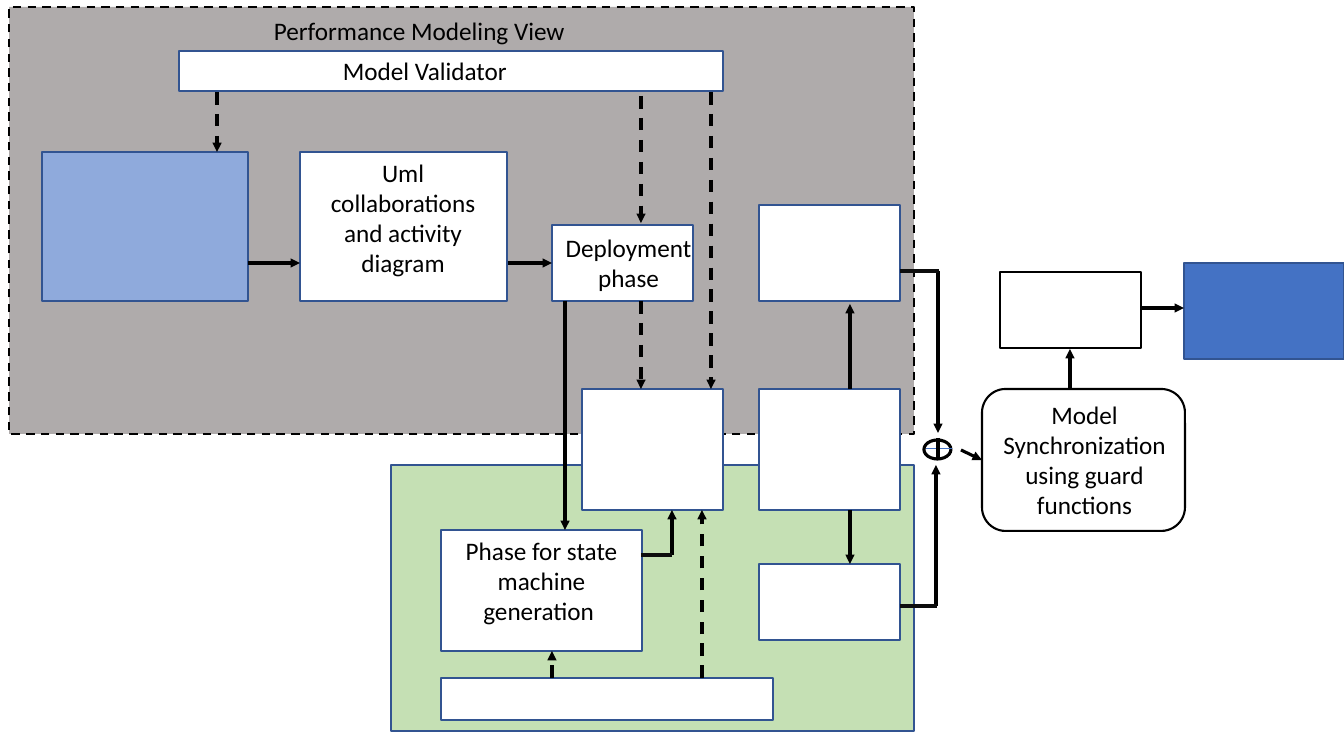
from lxml import etree
from pptx import Presentation
from pptx.dml.color import RGBColor
from pptx.enum.dml import MSO_LINE
from pptx.enum.shapes import MSO_CONNECTOR, MSO_SHAPE
from pptx.enum.text import PP_ALIGN
from pptx.oxml.ns import qn
from pptx.util import Pt

SCALE = 914400 / 100.8
RECT, ROUND, OVAL = MSO_SHAPE.RECTANGLE, MSO_SHAPE.ROUNDED_RECTANGLE, MSO_SHAPE.OVAL
STRAIGHT = MSO_CONNECTOR.STRAIGHT
DASH = MSO_LINE.DASH
LEFT, CENTER = PP_ALIGN.LEFT, PP_ALIGN.CENTER
BLACK, INK, WHITE = "000000", "0D0D0D", "FFFFFF"
GRAY, GREEN, LIGHT_BLUE, BLUE, BORDER = "AFABAB", "C5E0B4", "8FAADC", "4472C4", "325491"

PLAIN_BOXES = [
    (300, 152, 207, 149),
    (552, 225, 141, 76),
    (759, 205, 141, 96),
    (582, 389, 141, 121),
    (759, 389, 141, 121),
    (441, 530, 201, 121),
    (441, 678, 332, 42),
    (759, 564, 141, 76),
]
DASHED_ARROWS = [
    (217, 92, 217, 152),
    (641, 96, 641, 223),
    (711, 92, 711, 389),
    (641, 301, 641, 389),
    (552, 678, 552, 651),
    (702, 678, 702, 510),
]
SOLID_ARROWS = [
    (248, 263, 300, 263),
    (508, 263, 552, 263),
    (565, 301, 565, 530),
    (672, 555, 672, 510),
    (850, 389, 850, 304),
    (850, 510, 850, 564),
    (936, 606, 936, 465),
    (961, 450, 982, 460),
    (938, 271, 938, 433),
    (1070, 389, 1070, 349),
    (1141, 308, 1184, 308),
]
ELBOW_STARTS = [(641, 555, 672, 555), (900, 606, 937, 606), (900, 271, 939, 271)]
LABELS = [
    ("Performance Modeling View", 264, 10, 428, 40, LEFT),
    ("Model Validator", 333, 50, 207, 40, LEFT),
    ("Uml collaborations and activity diagram", 305, 152, 196, 132, CENTER),
    ("Deployment phase", 553, 227, 151, 72, CENTER),
    ("Model Synchronization using guard functions", 984, 394, 201, 137, CENTER),
    ("Phase for state machine generation ", 441, 530, 201, 102, CENTER),
]


def px(*values):
    """Turn pixel lengths into EMU."""
    return [round(v * SCALE) for v in values]


def rgb(color):
    """Return the colour for a hex string."""
    return RGBColor.from_string(color)


def style_line(line, color, width, dash=None):
    """Set the colour, width and dash of a line."""
    line.color.rgb = rgb(color)
    line.width = Pt(width)
    if dash is not None:
        line.dash_style = dash


def add_box(s, kind, at, fill=WHITE, color=BORDER, width=1, dash=None):
    """Add a filled, outlined shape."""
    sp = s.shapes.add_shape(kind, *px(*at))
    sp.shadow.inherit = False
    sp.fill.solid()
    sp.fill.fore_color.rgb = rgb(fill)
    style_line(sp.line, color, width, dash)


def add_line(s, ends, color=BLACK, width=2.25, dash=None, arrow=False):
    """Add a straight line, with an arrowhead at its end if asked."""
    cxn = s.shapes.add_connector(STRAIGHT, *px(*ends))
    style_line(cxn.line, color, width, dash)
    if arrow:
        etree.SubElement(cxn.line._get_or_add_ln(), qn("a:tailEnd"), type="triangle")
    etree.SubElement(cxn._element.spPr, qn("a:effectLst"))


def add_label(s, text, x, y, w, h, align):
    """Add a wrapped text box."""
    tf = s.shapes.add_textbox(*px(x, y, w, h)).text_frame
    tf.word_wrap = True
    p = tf.paragraphs[0]
    p.alignment = align
    r = p.add_run()
    r.text = text
    r.font.name = "Calibri"
    r.font.size = Pt(18)
    r.font.color.rgb = rgb(BLACK)


def add_boxes(s):
    """Add the two view areas and the boxes on and beside them."""
    add_box(s, RECT, (9, 7, 905, 427), GRAY, BLACK, 1.5, DASH)
    add_box(s, RECT, (391, 465, 523, 266), GREEN)
    add_box(s, RECT, (179, 51, 544, 40), width=1.5)
    add_box(s, RECT, (42, 152, 206, 149), LIGHT_BLUE)
    for at in PLAIN_BOXES:
        add_box(s, RECT, at)
    add_box(s, RECT, (1000, 272, 141, 76), color=BLACK, width=1.5)
    add_box(s, ROUND, (982, 389, 203, 142), color=BLACK, width=1.5)
    add_box(s, RECT, (1184, 263, 160, 96), BLUE)


def add_junction(s):
    """Add the crossed circle that joins the two branches."""
    add_box(s, OVAL, (924, 440, 27, 19), color=BLACK, width=2.25)
    add_line(s, (926, 448, 952, 448), BLUE, 0.5)
    add_line(s, (938, 438, 938, 460))


def main():
    """Build the slide and save it."""
    prs = Presentation()
    prs.slide_width, prs.slide_height = px(1344, 756)
    s = prs.slides.add_slide(prs.slide_layouts[6])
    add_boxes(s)
    for ends in DASHED_ARROWS:
        add_line(s, ends, dash=DASH, arrow=True)
    for ends in SOLID_ARROWS:
        add_line(s, ends, arrow=True)
    for ends in ELBOW_STARTS:
        add_line(s, ends, INK)
    add_junction(s)
    for label in LABELS:
        add_label(s, *label)
    prs.save("out.pptx")


main()
